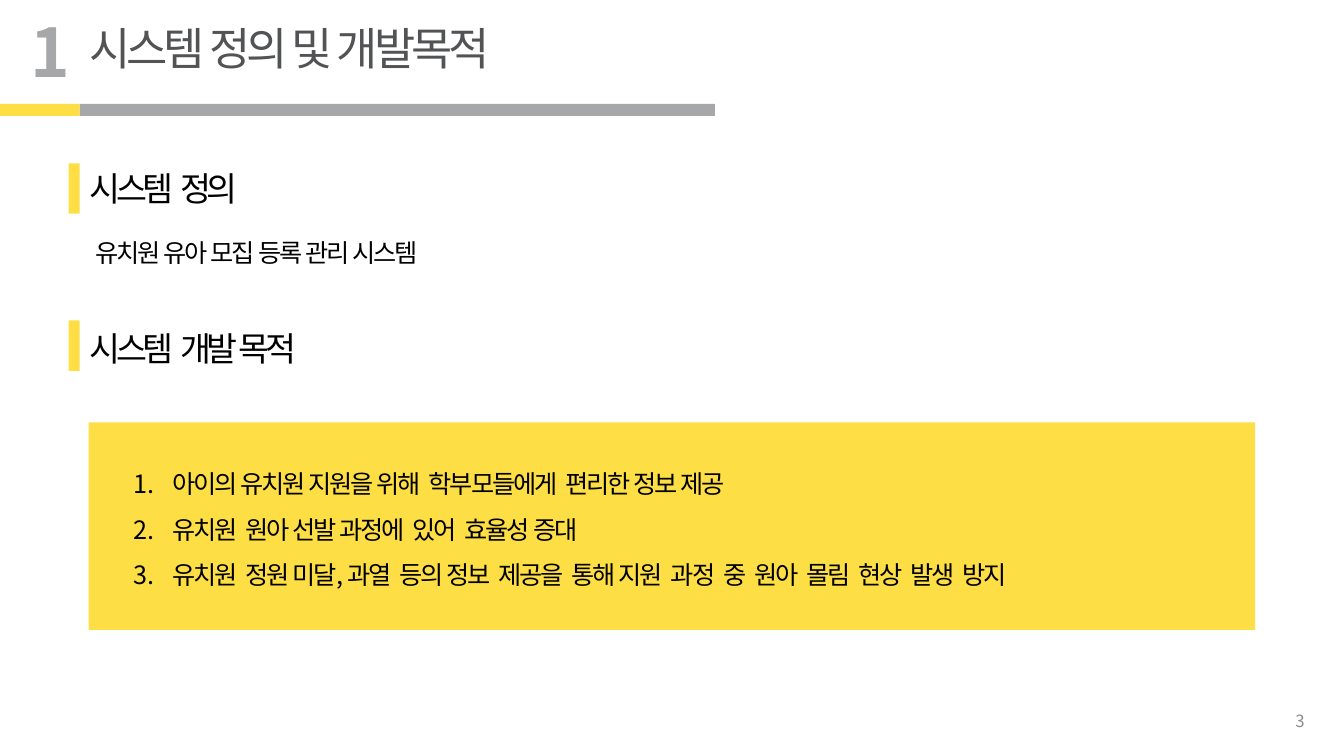
from dataclasses import dataclass

from lxml.etree import SubElement
from pptx import Presentation
from pptx.dml.color import RGBColor
from pptx.enum.shapes import MSO_SHAPE
from pptx.enum.text import MSO_ANCHOR, MSO_AUTO_SIZE, PP_ALIGN
from pptx.oxml.ns import qn
from pptx.slide import Slide
from pptx.util import Inches, Pt

FONT = "Noto Sans CJK KR"
YELLOW = "FDDE45"
GRAY = "A6A7A9"
BLACK = "000000"


@dataclass(frozen=True)
class Block:
    left: float
    top: float
    width: float
    height: float
    color: str = YELLOW


@dataclass(frozen=True)
class Label:
    left: float
    top: float
    width: float
    height: float
    lines: tuple[str, ...]
    size: int
    color: str = BLACK
    tracking: float = 0
    bold: bool = False
    wrap: bool = True
    grow: bool = True
    align: PP_ALIGN = PP_ALIGN.LEFT
    anchor: MSO_ANCHOR = MSO_ANCHOR.TOP
    numbered: bool = False


def rgb(color: str) -> RGBColor:
    return RGBColor.from_string(color)


def draw_block(slide: Slide, block: Block) -> None:
    bar = slide.shapes.add_shape(
        MSO_SHAPE.RECTANGLE, Inches(block.left), Inches(block.top),
        Inches(block.width), Inches(block.height))
    bar.shadow.inherit = False
    bar.fill.solid()
    bar.fill.fore_color.rgb = rgb(block.color)
    bar.line.fill.background()


def draw_label(slide: Slide, label: Label) -> None:
    box = slide.shapes.add_textbox(
        Inches(label.left), Inches(label.top),
        Inches(label.width), Inches(label.height))
    frame = box.text_frame
    frame.word_wrap = label.wrap
    frame.auto_size = MSO_AUTO_SIZE.SHAPE_TO_FIT_TEXT if label.grow else MSO_AUTO_SIZE.NONE
    frame.vertical_anchor = label.anchor
    for index, line in enumerate(label.lines):
        paragraph = frame.add_paragraph() if index else frame.paragraphs[0]
        paragraph.alignment = label.align
        if label.numbered:
            properties = paragraph._p.get_or_add_pPr()
            properties.set("marL", str(Inches(0.38)))
            properties.set("indent", str(-Inches(0.38)))
            SubElement(properties, qn("a:buFont"), typeface="+mj-lt")
            SubElement(properties, qn("a:buAutoNum"), type="arabicPeriod")
            paragraph.line_spacing = 1.5
        run = paragraph.add_run()
        run.text = line
        run.font.name = FONT
        run.font.size = Pt(label.size)
        run.font.bold = label.bold
        run.font.color.rgb = rgb(label.color)
        run_properties = run._r.get_or_add_rPr()
        run_properties.set("lang", "ko-KR")
        run_properties.set("spc", str(int(label.tracking * 100)))
        east_asian = SubElement(run_properties, qn("a:ea"))
        east_asian.set("typeface", FONT)


BLOCKS = (
    Block(0.79, 1.03, 6.3, 0.12, GRAY),
    Block(0, 1.03, 0.79, 0.12),
    Block(0.68, 1.62, 0.11, 0.5),
    Block(0.68, 3.18, 0.11, 0.5),
    Block(0.88, 4.19, 11.57, 2.06),
)

PURPOSES = (
    "아이의 유치원 지원을 위해  학부모들에게  편리한 정보 제공",
    "유치원  원아 선발 과정에  있어  효율성 증대",
    "유치원  정원 미달, 과열  등의 정보  제공을  통해 지원  과정  중  원아  몰림  현상  발생  방지",
)

LABELS = (
    Label(0.79, 0.16, 5.18, 0.64, ("시스템 정의 및 개발목적",), 32, "525355", -3),
    Label(0.2, 0.05, 0.58, 0.91, ("1",), 48, GRAY, bold=True, wrap=False),
    Label(0.79, 1.62, 2, 0.5, ("시스템  정의",), 24, tracking=-3),
    Label(0.85, 2.31, 3.85, 0.4, ("유치원 유아 모집 등록 관리 시스템",), 18,
          tracking=-1.5, align=PP_ALIGN.JUSTIFY),
    Label(0.79, 3.2, 2.6, 0.5, ("시스템  개발 목적",), 24, tracking=-3),
    Label(1.23, 4.45, 10.87, 1.42, PURPOSES, 18, tracking=-1.5,
          align=PP_ALIGN.JUSTIFY, numbered=True),
    Label(10.04, 6.95, 3, 0.4, ("3",), 12, "8C8C8C", grow=False,
          align=PP_ALIGN.RIGHT, anchor=MSO_ANCHOR.MIDDLE),
)


def main() -> None:
    presentation = Presentation()
    presentation.slide_width = Inches(13.33)
    presentation.slide_height = Inches(7.5)
    slide = presentation.slides.add_slide(presentation.slide_layouts[6])
    for block in BLOCKS:
        draw_block(slide, block)
    for label in LABELS:
        draw_label(slide, label)
    presentation.save("out.pptx")


if __name__ == "__main__":
    main()
